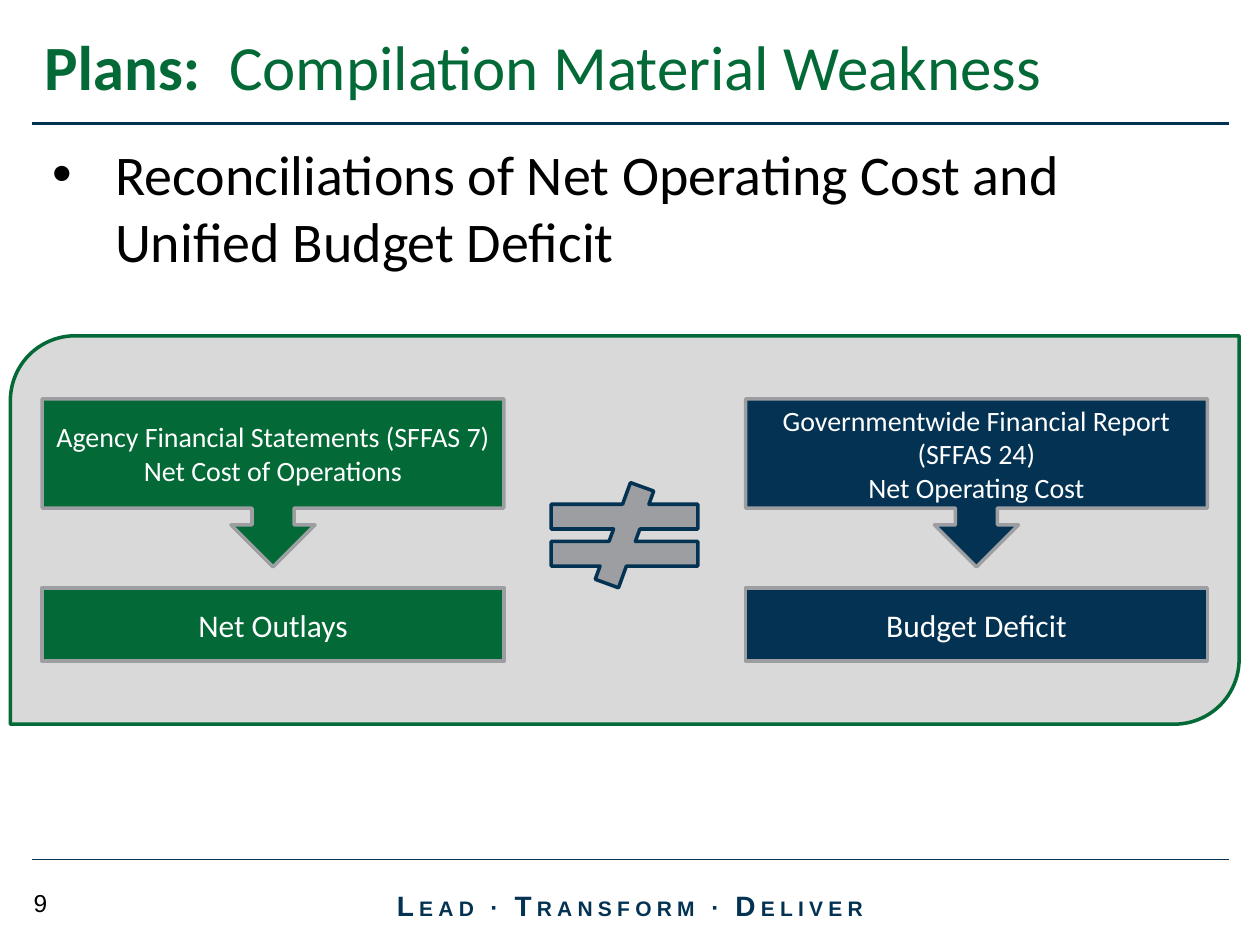
from collections import namedtuple

from lxml.etree import SubElement
from pptx import Presentation
from pptx.dml.color import RGBColor
from pptx.enum.shapes import MSO_CONNECTOR, MSO_SHAPE
from pptx.enum.text import MSO_ANCHOR, PP_ALIGN
from pptx.oxml.ns import qn
from pptx.util import Cm, Pt

GREEN = RGBColor(0x03, 0x6A, 0x37)
NAVY = RGBColor(0x04, 0x32, 0x53)
GRAY = RGBColor(0x9C, 0x9E, 0xA2)
LIGHT_GRAY = RGBColor(0xD9, 0xD9, 0xD9)
WHITE = RGBColor(0xFF, 0xFF, 0xFF)
BLACK = RGBColor(0, 0, 0)

Box = namedtuple("Box", "left top width height")


def inner(box, left, top, width, height):
    """Return a box in centimetres placed relative to the given box."""
    return Box(box.left + Cm(left), box.top + Cm(top), Cm(width), Cm(height))


def write(para, text, size, color, font="Calibri", bold=False, tracking=None):
    """Append formatted text to a paragraph, breaking lines at newlines."""
    for index, line in enumerate(text.split("\n")):
        if index:
            para.add_line_break()
        span = para.add_run()
        span.text = line
        span.font.name = font
        span.font.size = Pt(size)
        span.font.bold = bold
        span.font.color.rgb = color
        if tracking:
            span.font._element.set("spc", str(tracking * 100))


def add_text_box(page, box, anchor=MSO_ANCHOR.TOP):
    """Add a wrapping text box and return its first paragraph."""
    frame = page.shapes.add_textbox(*box).text_frame
    frame.word_wrap = True
    frame.vertical_anchor = anchor
    return frame.paragraphs[0]


def add_rule(page, left, top, width, weight):
    """Add a horizontal navy rule."""
    rule = page.shapes.add_connector(
        MSO_CONNECTOR.STRAIGHT, left, top, left + width, top)
    rule.line.color.rgb = NAVY
    rule.line.width = Pt(weight)
    SubElement(rule._element.spPr, qn("a:effectLst"))


def add_figure(page, kind, box, fill, line, paragraphs=(), size=16):
    """Add an outlined preset shape with centred white paragraphs."""
    figure = page.shapes.add_shape(kind, *box)
    figure.shadow.inherit = False
    figure.fill.solid()
    figure.fill.fore_color.rgb = fill
    figure.line.color.rgb = line
    figure.line.width = Pt(2)
    frame = figure.text_frame
    frame.word_wrap = True
    frame.vertical_anchor = MSO_ANCHOR.MIDDLE
    for index, text in enumerate(paragraphs):
        para = frame.add_paragraph() if index else frame.paragraphs[0]
        para.alignment = PP_ALIGN.CENTER
        write(para, text, size, WHITE)


def add_header(page, box):
    """Place the title and the rule beneath it."""
    para = add_text_box(page, inner(box, 0, 0, 24.13, 1.9))
    write(para, "Plans:  ", 36, GREEN, bold=True)
    write(para, "Compilation Material Weakness", 36, GREEN)
    add_rule(page, box.left, box.top + box.height, box.width, 2.25)


def add_bullet(page, box):
    """Place the bulleted statement."""
    para = add_text_box(page, box)
    write(para, "Reconciliations of Net Operating Cost and Unified Budget Deficit",
          32, BLACK)
    settings = para._p.get_or_add_pPr()
    settings.set("marL", str(Cm(1.43)))
    settings.set("indent", str(Cm(-1.27)))
    SubElement(settings, qn("a:buFont"), typeface="Arial")
    SubElement(settings, qn("a:buChar"), char="•")


def add_flow(page, box, color, source, result):
    """Place a source callout pointing down to its result."""
    add_figure(page, MSO_SHAPE.DOWN_ARROW_CALLOUT, inner(box, 0, 0, 9.31, 3.39),
               color, GRAY, source)
    add_figure(page, MSO_SHAPE.RECTANGLE, inner(box, 0, 3.81, 9.31, 1.48),
               color, GRAY, [result], size=18)


def add_comparison(page, box):
    """Place the panel with two flows and the inequality between them."""
    add_figure(page, MSO_SHAPE.ROUND_2_DIAG_RECTANGLE, box, LIGHT_GRAY, GREEN)
    add_flow(page, inner(box, 0.64, 1.27, 9.31, 5.29), GREEN,
             ["Agency Financial Statements (SFFAS 7)\nNet Cost of Operations"],
             "Net Outlays")
    add_figure(page, MSO_SHAPE.MATH_NOT_EQUAL, inner(box, 10.37, 2.96, 4.02, 2.12),
               GRAY, NAVY)
    add_flow(page, inner(box, 14.82, 1.27, 9.31, 5.29), NAVY,
             ["Governmentwide Financial Report (SFFAS 24)", "Net Operating Cost"],
             "Budget Deficit")


def add_footer(page, box):
    """Place the footer rule, the motto and the page number."""
    add_rule(page, box.left, box.top, box.width, 0.75)
    motto = add_text_box(page, inner(box, 6.55, 0.43, 11.02, 1.02), MSO_ANCHOR.MIDDLE)
    motto.alignment = PP_ALIGN.CENTER
    for text, size in (("L", 16), ("EAD ", 12), ("∙ ", 14),
                       ("T", 16), ("RANSFORM ", 12), ("∙ ", 14),
                       ("D", 16), ("ELIVER", 12)):
        write(motto, text, size, NAVY, font="Arial", bold=True, tracking=3)
    number = add_text_box(page, inner(box, -0.21, 0.46, 3.18, 0.84))
    write(number, "9", 14, BLACK, font="Arial")


def main():
    """Build the deck and save it."""
    deck = Presentation()
    deck.slide_width, deck.slide_height = Cm(25.4), Cm(19.05)
    page = deck.slides.add_slide(deck.slide_layouts[6])
    add_header(page, Box(Cm(0.64), Cm(0.43), Cm(24.13), Cm(2.06)))
    add_bullet(page, Box(Cm(0.64), Cm(2.69), Cm(24.13), Cm(3.6)))
    add_comparison(page, Box(Cm(0.21), Cm(6.77), Cm(24.77), Cm(7.83)))
    add_footer(page, Box(Cm(0.64), Cm(17.32), Cm(24.13), Cm(1.46)))
    deck.save("out.pptx")


if __name__ == "__main__":
    main()
